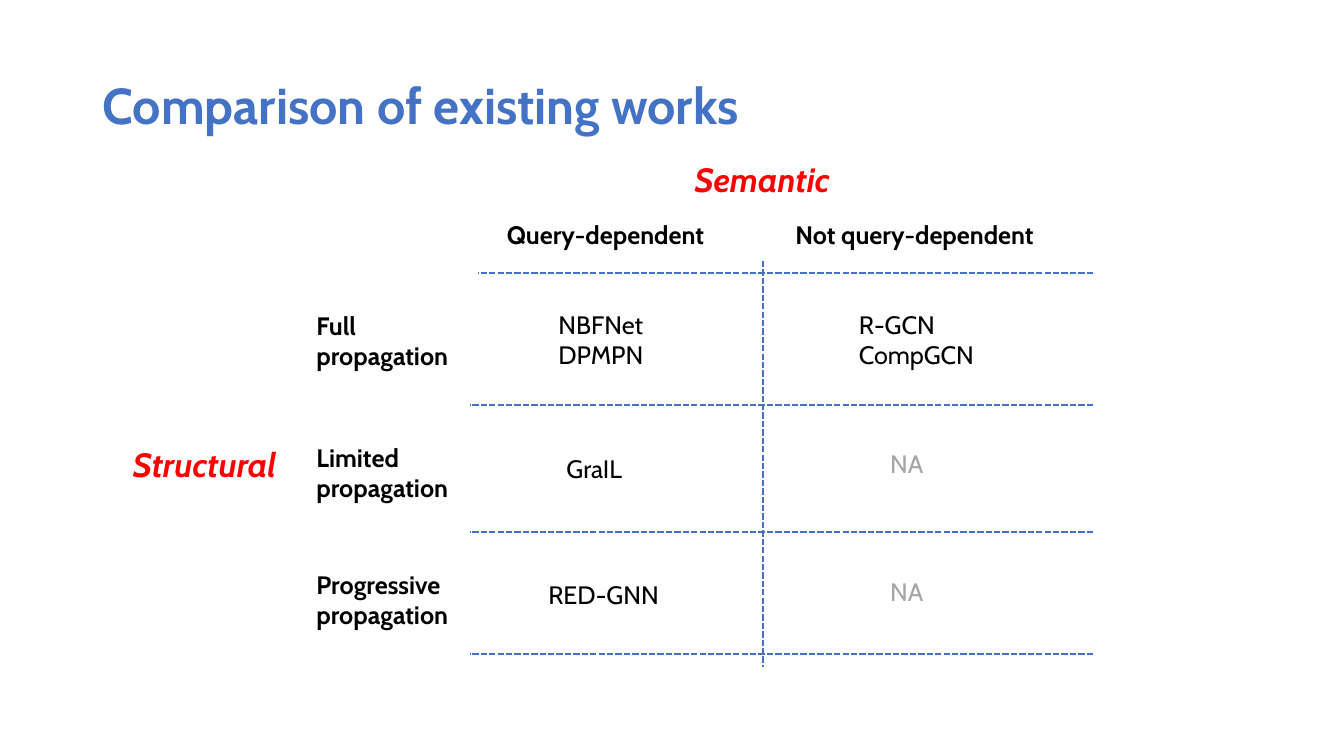
from lxml import etree
from pptx import Presentation
from pptx.dml.color import RGBColor
from pptx.enum import dml, shapes, text
from pptx.oxml.ns import qn
from pptx.util import Inches, Pt

FONT = "Cabin"
BLUE = RGBColor(0x44, 0x72, 0xC4)
BLACK = RGBColor(0, 0, 0)
RED = RGBColor(0xFF, 0, 0)
GRAY = RGBColor(0xA6, 0xA6, 0xA6)

ROW_LABELS = ["Full\npropagation", "Limited\npropagation", "Progressive\npropagation"]
ROW_LINES = [1.31, 2.57, 3.78]  # below the header line
LABEL_TOPS = [0.32, 1.63, 2.89]
# text, left and top from the crossing of the header line and the divider, width, colour
CELLS = [
    ("NBFNet\nDPMPN", -2.13, 0.31, 1.13, BLACK),
    ("R-GCN\nCompGCN", 0.85, 0.31, 1.4, BLACK),
    ("GraIL", -2.05, 1.74, 0.78, BLACK),
    ("NA", 1.16, 1.69, 0.57, GRAY),
    ("RED-GNN", -2.23, 2.99, 1.33, BLACK),
    ("NA", 1.16, 2.96, 0.57, GRAY),
]


def style(paragraph, size, color, bold=False, italic=False):
    font = paragraph.font
    font.name, font.size = FONT, Pt(size)
    font.bold, font.italic = bold, italic
    font.color.rgb = color


def add_label(slide, words, left, top, width, color=BLACK, size=18, bold=False, italic=False):
    lines = words.split("\n")
    height = 0.5 if size > 18 else 0.1 + 0.3 * len(lines)
    box = slide.shapes.add_textbox(Inches(left), Inches(top), Inches(width), Inches(height))
    frame = box.text_frame
    frame.word_wrap = False
    frame.auto_size = text.MSO_AUTO_SIZE.SHAPE_TO_FIT_TEXT
    frame.text = words
    for paragraph in frame.paragraphs:
        style(paragraph, size, color, bold, italic)


def add_dashed_line(slide, start_x, start_y, end_x, end_y):
    line = slide.shapes.add_connector(
        shapes.MSO_CONNECTOR.STRAIGHT,
        Inches(start_x), Inches(start_y), Inches(end_x), Inches(end_y),
    )
    line.line.color.rgb = BLUE
    line.line.width = Pt(1.5)
    line.line.dash_style = dml.MSO_LINE.SQUARE_DOT
    etree.SubElement(line._element.spPr, qn("a:effectLst"))


def add_title(slide, words, left, top, width, height):
    title = slide.shapes.title
    title.left, title.top = Inches(left), Inches(top)
    title.width, title.height = Inches(width), Inches(height)
    frame = title.text_frame
    frame.text = words
    frame.vertical_anchor = text.MSO_ANCHOR.MIDDLE
    paragraph = frame.paragraphs[0]
    paragraph.alignment = text.PP_ALIGN.LEFT
    paragraph.line_spacing = 0.9
    style(paragraph, 36, BLUE, bold=True)


def add_axis_names(slide, x, y):
    """Name both axes and the two columns around the crossing point."""
    add_label(slide, "Semantic", x - 0.78, y - 1.18, 1.57, RED, 24, True, True)
    add_label(slide, "Structural", x - 6.35, y + 1.64, 1.66, RED, 24, True, True)
    add_label(slide, "Query-dependent", x - 2.64, y - 0.58, 2.3, bold=True)
    add_label(slide, "Not query-dependent", x + 0.22, y - 0.58, 2.76, bold=True)


def add_matrix(slide, x, y):
    """Draw the grid and its entries around the crossing point."""
    right = x + 3.27
    add_dashed_line(slide, x, y - 0.12, x, y + 3.91)
    add_dashed_line(slide, right, y, x - 2.83, y)
    for offset in ROW_LINES:
        add_dashed_line(slide, right, y + offset, x - 2.91, y + offset)
    for words, offset in zip(ROW_LABELS, LABEL_TOPS):
        add_label(slide, words, x - 4.53, y + offset, 1.62, bold=True)
    for words, left, top, width, color in CELLS:
        add_label(slide, words, x + left, y + top, width, color)


def main():
    presentation = Presentation()
    presentation.slide_width = Inches(13.33)
    presentation.slide_height = Inches(7.5)
    slide = presentation.slides.add_slide(presentation.slide_layouts[5])
    add_title(slide, "Comparison of existing works", 0.92, 0.35, 11.5, 1.45)
    add_axis_names(slide, 7.57, 2.71)
    add_matrix(slide, 7.57, 2.71)
    presentation.save("out.pptx")


if __name__ == "__main__":
    main()
